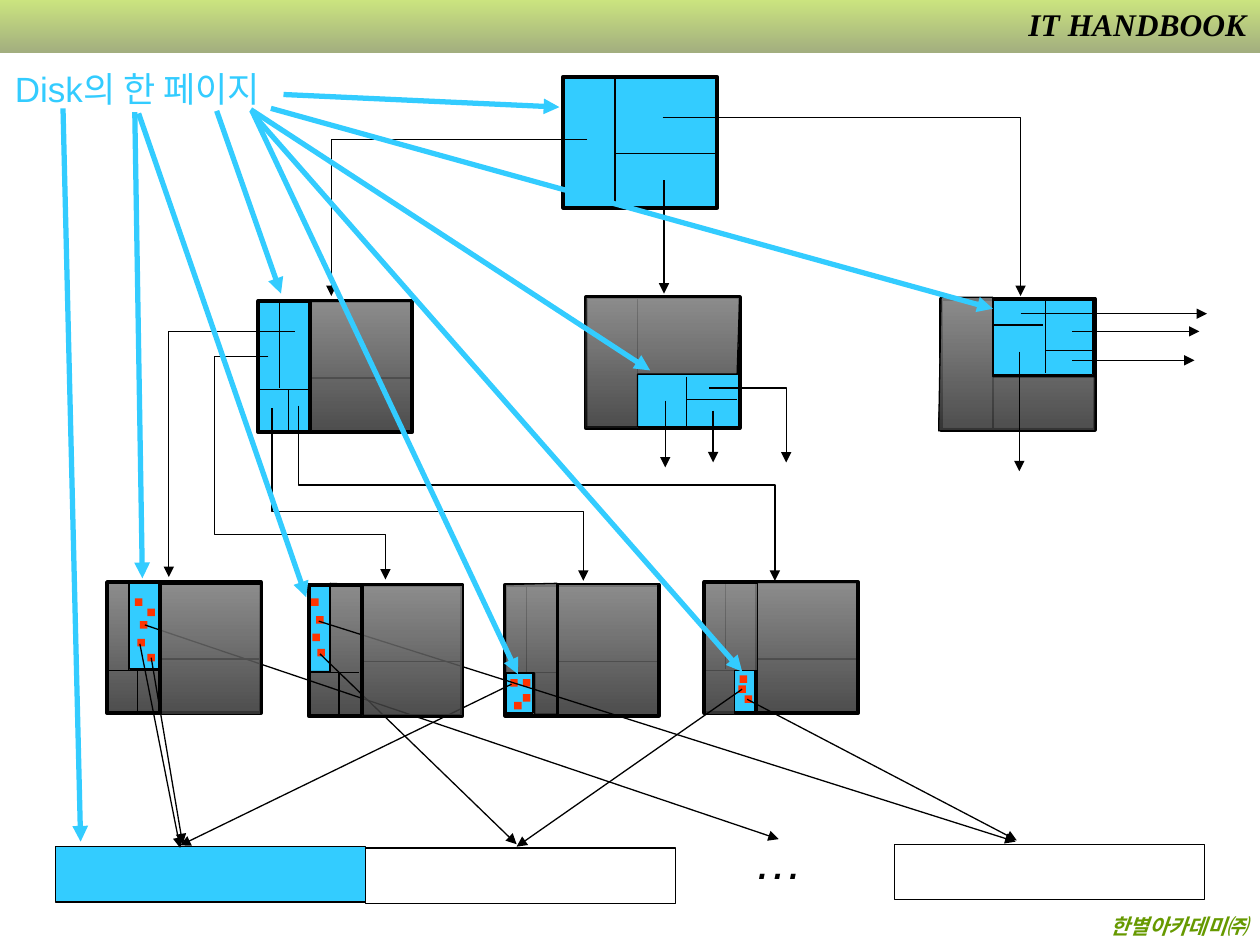
from lxml import etree
from pptx import Presentation
from pptx.dml.color import RGBColor
from pptx.enum.shapes import MSO_CONNECTOR, MSO_SHAPE
from pptx.enum.text import PP_ALIGN
from pptx.oxml.ns import qn
from pptx.util import Cm, Pt

RECTANGLE = MSO_SHAPE.RECTANGLE
STRAIGHT = MSO_CONNECTOR.STRAIGHT
LEFT, RIGHT = PP_ALIGN.LEFT, PP_ALIGN.RIGHT
UNIT = Cm(2.54)
COLORS = {
    "black": "000000", "white": "FFFFFF", "page": "33CCFF", "entry": "FF3300", "publisher": "669900",
}
GRADIENTS = {
    "header": ("99CC00", "475E00", 50000),
    "empty": ("808080", "3B3B3B", 90000),
}


def add_shape(points, fill=None, weight=0.75, closed=True):
    corners = [(round(x * UNIT), round(y * UNIT)) for x, y in points]
    if len(corners) == 2:
        (left, top), (right, bottom) = corners
        shape = slide.shapes.add_shape(RECTANGLE, left, top, right - left, bottom - top)
    else:
        builder = slide.shapes.build_freeform(*corners[0])
        builder.add_line_segments(corners[1:], close=closed)
        shape = builder.convert_to_shape()
    shape.shadow.inherit = False
    if fill in GRADIENTS:
        *stop_colors, alpha = GRADIENTS[fill]
        shape.fill.gradient()
        shape.fill.gradient_angle = 270
        for stop, color in zip(shape.fill.gradient_stops, stop_colors):
            stop.color.rgb = RGBColor.from_string(color)
        for color in shape.element.spPr.iter(qn("a:srgbClr")):
            etree.SubElement(color, qn("a:alpha"), val=str(alpha))
    elif fill:
        shape.fill.solid()
        shape.fill.fore_color.rgb = RGBColor.from_string(COLORS[fill])
    else:
        shape.fill.background()
    if weight:
        shape.line.color.rgb = RGBColor.from_string(COLORS["black"])
        shape.line.width = Pt(weight)
    else:
        shape.line.fill.background()
    return shape


def add_line(points, color="black", weight=0.75, arrow=True):
    if len(points) == 2:
        ends = [round(value * UNIT) for point in points for value in point]
        line = slide.shapes.add_connector(STRAIGHT, *ends)
        etree.SubElement(line.element.spPr, qn("a:effectLst"))
    else:
        line = add_shape(points, closed=False)
    line.line.color.rgb = RGBColor.from_string(COLORS[color])
    line.line.width = Pt(weight)
    if arrow:
        outline = line.element.spPr.find(qn("a:ln"))
        etree.SubElement(outline, qn("a:tailEnd"), type="triangle")


presentation = Presentation()
presentation.slide_width, presentation.slide_height = Cm(25.4), Cm(19.05)
slide = presentation.slides.add_slide(presentation.slide_layouts[6])

add_shape([(0, 0), (10, 0.42)], "header", 0)

page_regions = [
    (5.83, 5.32, 0.16, 0.33), (4.01, 5.34, 0.22, 0.32), (7.88, 2.38, 0.79, 0.59),
    (5.06, 2.97, 0.8, 0.43), (2.45, 4.65, 0.17, 0.68), (1.03, 4.63, 0.23, 0.68),
    (2.06, 2.39, 0.39, 1.04),
]
for x, y, width, height in page_regions:
    add_shape([(x, y), (x + width, y + height)], "page")

add_shape([(2.62, 4.63), (2.62, 5.33), (2.46, 5.33), (2.46, 5.68), (2.87, 5.68), (2.87, 4.64)], "empty")
add_shape([(0.85, 4.63), (0.85, 5.66), (1.27, 5.66), (1.27, 5.32), (1.02, 5.32), (1.02, 4.63)], "empty")

nodes = [
    (4.47, 0.61, "page", False, None),
    (4.65, 2.36, None, False, None),
    (7.47, 2.37, None, False, None),
    (2.05, 2.39, None, True, "empty"),
    (0.85, 4.62, None, True, None),
    (2.45, 4.64, None, True, None),
    (4.01, 4.64, None, True, "empty"),
    (5.59, 4.62, None, True, "empty"),
]
for x, y, fill, subdivided, right_fill in nodes:
    add_shape([(x, y), (x + 1.22, y + 1.04)], fill, 2.25)
    add_line([(x + 0.41, y - 0.01), (x + 0.41, y + 1.03)], arrow=False)
    add_line([(x + 0.41, y + 0.61), (x + 1.22, y + 0.61)], arrow=False)
    if subdivided:
        add_shape([(x + 0.42, y), (x + 1.21, y + 1.03)], right_fill)
        add_line([(x, y + 0.7), (x + 0.4, y + 0.7)], arrow=False)
        add_line([(x + 0.17, y), (x + 0.17, y + 0.69)], arrow=False)
        add_line([(x + 0.24, y + 0.7), (x + 0.24, y + 1.03)], arrow=False)

empty_regions = [
    [(4.65, 2.36), (4.65, 3.39), (5.06, 3.39), (5.06, 2.97), (5.85, 2.97), (5.87, 2.36)],
    [(7.47, 2.36), (7.45, 3.42), (8.69, 3.42), (8.69, 2.99), (7.88, 2.99), (7.88, 2.36)],
    [(4.01, 4.64), (4.01, 5.34), (4.24, 5.34), (4.24, 5.67), (4.42, 5.67), (4.42, 4.63)],
    [(5.6, 4.63), (5.6, 5.67), (5.83, 5.67), (5.83, 5.32), (6.01, 5.32), (6.01, 4.63)],
]
for region in empty_regions:
    add_shape(region, "empty")

dividers = [
    [(5.45, 2.99), (5.45, 3.4)], [(5.45, 3.17), (5.85, 3.17)], [(8.3, 2.39), (8.3, 2.96)],
    [(7.88, 2.58), (8.28, 2.58)], [(8.3, 2.78), (8.67, 2.78)],
]
for divider in dividers:
    add_line(divider, arrow=False)

child_pointers = [
    [(4.66, 1.11), (2.63, 1.11), (2.63, 2.35)],
    [(5.27, 1.43), (5.27, 2.33)],
    [(5.26, 0.93), (8.1, 0.93), (8.1, 2.35)],
    [(5.28, 3.18), (5.28, 3.71)],
    [(5.63, 3.08), (6.24, 3.08), (6.24, 3.67)],
    [(5.66, 3.26), (5.66, 3.67)],
    [(2.34, 2.63), (1.34, 2.63), (1.34, 4.58)],
    [(2.13, 2.83), (1.7, 2.83), (1.7, 4.24), (3.06, 4.24), (3.06, 4.6)],
    [(2.37, 3.22), (2.37, 3.85), (6.15, 3.85), (6.15, 4.61)],
    [(2.16, 3.24), (2.16, 4.06), (4.63, 4.06), (4.63, 4.61)],
    [(8.51, 2.63), (9.52, 2.63)],
    [(8.51, 2.86), (9.48, 2.86)],
    [(8.1, 2.49), (9.58, 2.49)],
    [(8.09, 2.79), (8.09, 3.74)],
]
for pointer in child_pointers:
    add_line(pointer)

entries = [
    (1.07, 4.75), (1.11, 4.93), (1.09, 5.07), (1.17, 5.19), (1.17, 4.83),
    (2.52, 5.15), (2.51, 4.89), (2.48, 5.03), (2.47, 4.75),
    (4.05, 5.39), (4.15, 5.51), (4.15, 5.39), (4.08, 5.57),
    (5.91, 5.52), (5.87, 5.36), (5.86, 5.44),
]
for x, y in entries:
    add_shape([(x, y), (x + 0.06, y + 0.06)], "entry", 0)

for x, y, fill in [(0.44, 6.72, "page"), (2.9, 6.73, None), (7.1, 6.7, None)]:
    add_shape([(x, y), (x + 2.46, y + 0.44)], fill)

record_pointers = [
    [(1.11, 5.11), (1.43, 6.73)], [(4.06, 5.43), (1.43, 6.71)], [(1.2, 5.22), (1.45, 6.7)],
    [(1.15, 4.96), (6.18, 6.66)], [(5.89, 5.47), (4.1, 6.72)], [(2.54, 5.19), (4.1, 6.7)],
    [(2.53, 4.93), (8.06, 6.68)], [(5.93, 5.55), (8.07, 6.67)],
]
for pointer in record_pointers:
    add_line(pointer)

back_callouts = [
    [(2.25, 0.75), (4.44, 0.85)], [(1.72, 0.88), (2.23, 2.33)],
    [(1.07, 0.89), (1.13, 4.59)], [(0.5, 0.86), (0.64, 6.68)],
]
front_callouts = [
    [(1.99, 0.87), (5.16, 2.94)], [(1.1, 0.9), (2.43, 4.74)], [(2, 0.88), (4.11, 5.35)],
    [(2.02, 0.92), (5.89, 5.33)], [(2.15, 0.86), (7.88, 2.45)],
]
for callout in back_callouts:
    add_line(callout, "page", 3)
for x, y in [(1.28, 4.64), (2.88, 4.65)]:
    add_shape([(x, y), (x + 0.79, y + 1.03)], "empty")
for callout in front_callouts:
    add_line(callout, "page", 3)

serif = {"name": "Times New Roman", "bold": True, "italic": True}
texts = [
    ("한별아카데미㈜", (0.06, 7.2, 9.94, 0.3), RIGHT, True, "publisher", {**serif, "size": Pt(12)}),
    ("IT HANDBOOK", (7.88, -0.01, 2.11, 0.4), RIGHT, True, "black", {**serif, "size": Pt(18)}),
    ("…", (5.89, 6.54, 0.59, 0.57), LEFT, False, "black", {"name": "Arial", "italic": True, "size": Pt(28)}),
    ("Disk의 한 페이지", (0.02, 0.49, 2.24, 0.44), LEFT, False, "page", {"name": "Arial", "size": Pt(20)}),
]
for text, box, alignment, wrap, color, font_format in texts:
    shape = slide.shapes.add_textbox(*[round(value * UNIT) for value in box])
    shape.text_frame.word_wrap = wrap
    paragraph = shape.text_frame.paragraphs[0]
    paragraph.alignment = alignment
    run = paragraph.add_run()
    run.text = text
    for attribute, value in font_format.items():
        setattr(run.font, attribute, value)
    run.font.color.rgb = RGBColor.from_string(COLORS[color])

presentation.save("out.pptx")
